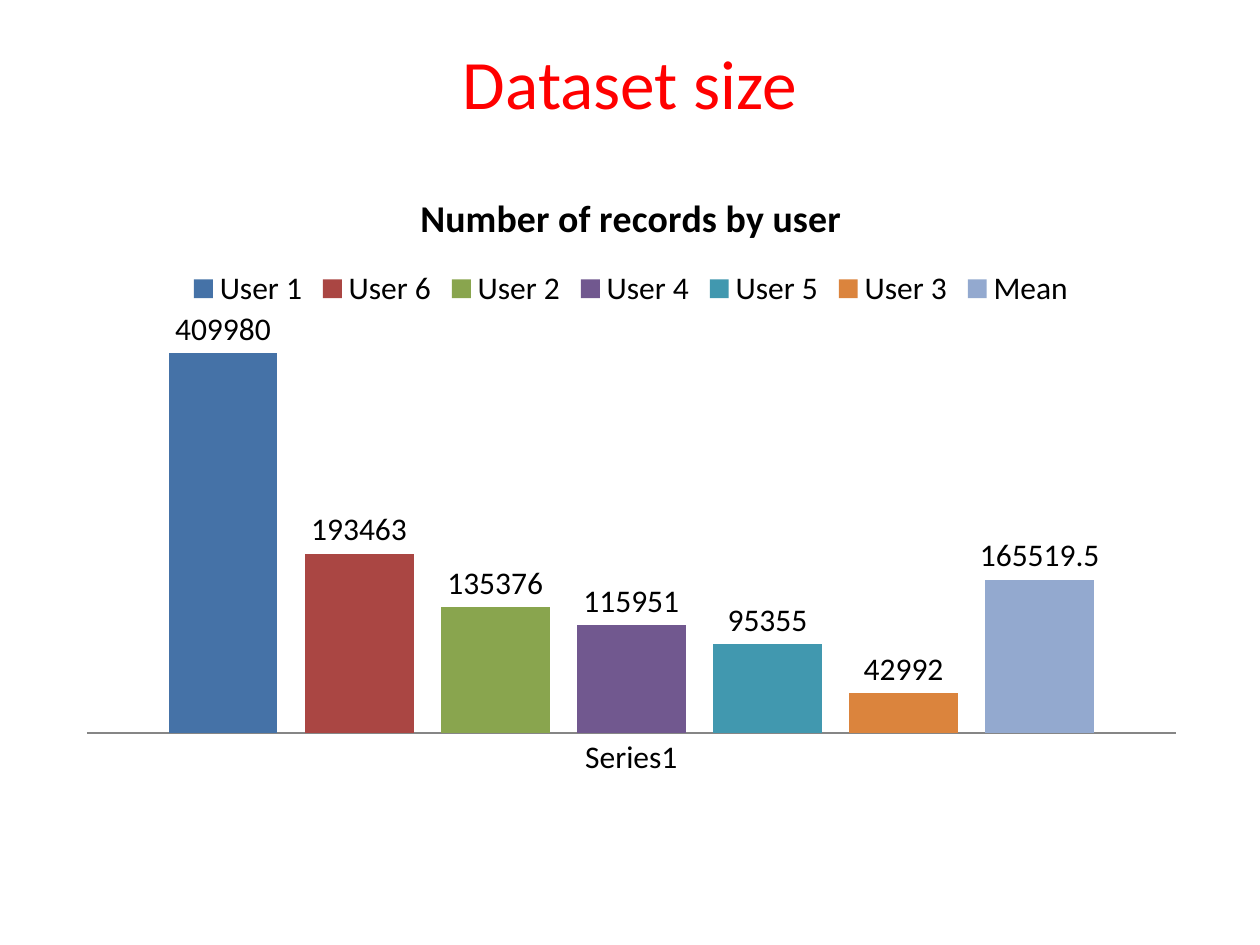
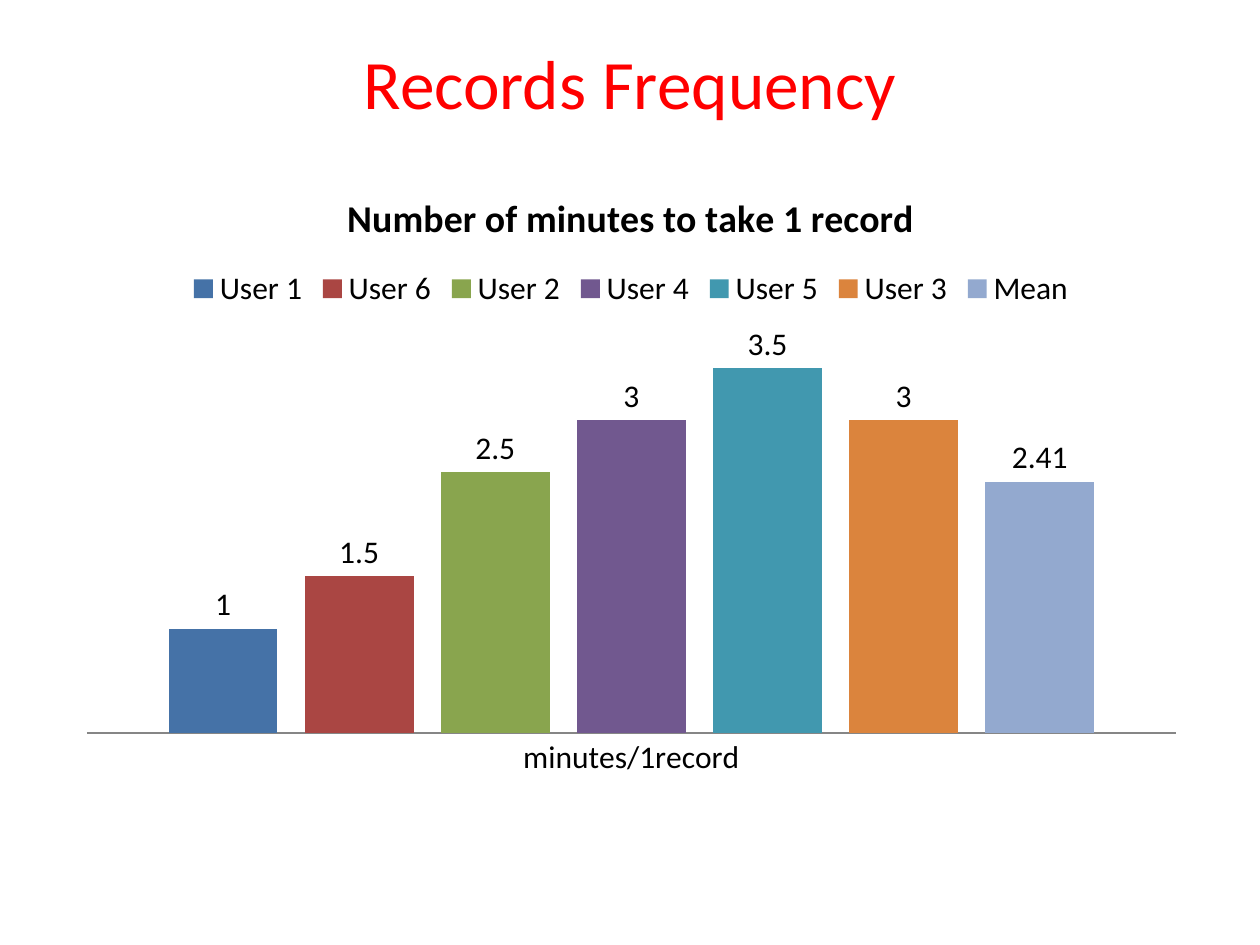
from pptx import Presentation, util as u
from pptx.chart.data import CategoryChartData
from pptx.dml.color import RGBColor
from pptx.enum import chart as c, text
from pptx.oxml import parse_xml
from pptx.oxml.ns import nsdecls, qn

PX = u.Inches(1) // 126
FONT = "Calibri"
COLOURS = {
    "title": "FF0000", "text": "000000", "axis": "868686",
    "User 1": "4572A7", "User 6": "AA4643", "User 2": "89A54E",
    "User 4": "71588F", "User 5": "4198AF", "User 3": "DB843D",
    "Mean": "93A9CF",
}
USERS = ["User 1", "User 6", "User 2", "User 4", "User 5", "User 3", "Mean"]
SLIDES = [
    {"title": "Dataset size", "heading": "Number of records by user",
     "category": "Series1", "top": 450000,
     "values": [409980, 193463, 135376, 115951, 95355, 42992, 165519.5]},
    {"title": "Records Frequency", "heading": "Number of minutes to take 1 record",
     "category": "minutes/1record", "top": 4,
     "values": [1, 1.5, 2.5, 3, 3.5, 3, 2.41]},
]
TITLE_AREA = (63, 38, 1134, 87)
CHART_AREA = (64, 165, 1134, 624)
PLOT_AREA = (87, 316, 1089, 417)


def colour(name):
    return RGBColor.from_string(COLOURS[name])


def set_all(target, values):
    for name, value in values.items():
        setattr(target, name, value)


def set_font(font, size, name="text", bold=False):
    set_all(font, {"name": FONT, "size": u.Pt(size), "bold": bold})
    font.color.rgb = colour(name)


def add_title(page, words):
    box = page.shapes.add_textbox(*(n * PX for n in TITLE_AREA))
    frame = box.text_frame
    set_all(frame, {"word_wrap": True, "vertical_anchor": text.MSO_ANCHOR.MIDDLE})
    para = frame.paragraphs[0]
    para.alignment = text.PP_ALIGN.CENTER
    span = para.add_run()
    span.text = words
    set_font(span.font, 39.6, "title")


def place_plot(chart):
    left, top, width, height = CHART_AREA
    x, y, w, h = PLOT_AREA
    parts = {"x": (x - left) / width, "y": (y - top) / height,
             "w": w / width, "h": h / height}
    modes = "".join(f'<c:{n}Mode val="edge"/>' for n in "xy")
    sizes = "".join(f'<c:{n} val="{v:.4f}"/>' for n, v in parts.items())
    plot_area = chart.plots[0]._element.getparent()
    for old in plot_area.findall(qn("c:layout")):
        plot_area.remove(old)
    plot_area.insert(0, parse_xml(
        f'<c:layout {nsdecls("c")}><c:manualLayout><c:layoutTarget val="inner"/>'
        f'{modes}{sizes}</c:manualLayout></c:layout>'))


def add_user_chart(page, content):
    data = CategoryChartData()
    data.categories = [content["category"]]
    for user, value in zip(USERS, content["values"]):
        data.add_series(user, [value])
    chart = page.shapes.add_chart(
        c.XL_CHART_TYPE.COLUMN_CLUSTERED, *(n * PX for n in CHART_AREA), data).chart
    set_font(chart.font, 18)
    set_all(chart, {"has_title": True, "has_legend": True})
    frame = chart.chart_title.text_frame
    frame.text = content["heading"]
    set_font(frame.paragraphs[0].runs[0].font, 21.6, bold=True)
    set_all(chart.legend, {"position": c.XL_LEGEND_POSITION.TOP,
                           "include_in_layout": False})
    set_all(chart.value_axis, {"visible": False, "has_major_gridlines": False,
                               "minimum_scale": 0, "maximum_scale": content["top"]})
    axis = chart.category_axis
    set_all(axis, {"major_tick_mark": c.XL_TICK_MARK.NONE,
                   "minor_tick_mark": c.XL_TICK_MARK.NONE})
    axis.format.line.color.rgb = colour("axis")
    plot = chart.plots[0]
    set_all(plot, {"gap_width": 150, "overlap": -25, "vary_by_categories": False,
                   "has_data_labels": True})
    set_all(plot.data_labels, {"show_value": True, "number_format": "General",
                               "number_format_is_linked": False,
                               "position": c.XL_LABEL_POSITION.OUTSIDE_END})
    set_font(plot.data_labels.font, 18)
    for series in plot.series:
        series.invert_if_negative = False
        series.format.fill.solid()
        series.format.fill.fore_color.rgb = colour(series.name)
    place_plot(chart)


def main():
    deck = Presentation()
    set_all(deck, {"slide_width": 1260 * PX, "slide_height": 945 * PX})
    for content in SLIDES:
        page = deck.slides.add_slide(deck.slide_layouts[6])
        add_title(page, content["title"])
        add_user_chart(page, content)
    deck.save("out.pptx")


if __name__ == "__main__":
    main()
